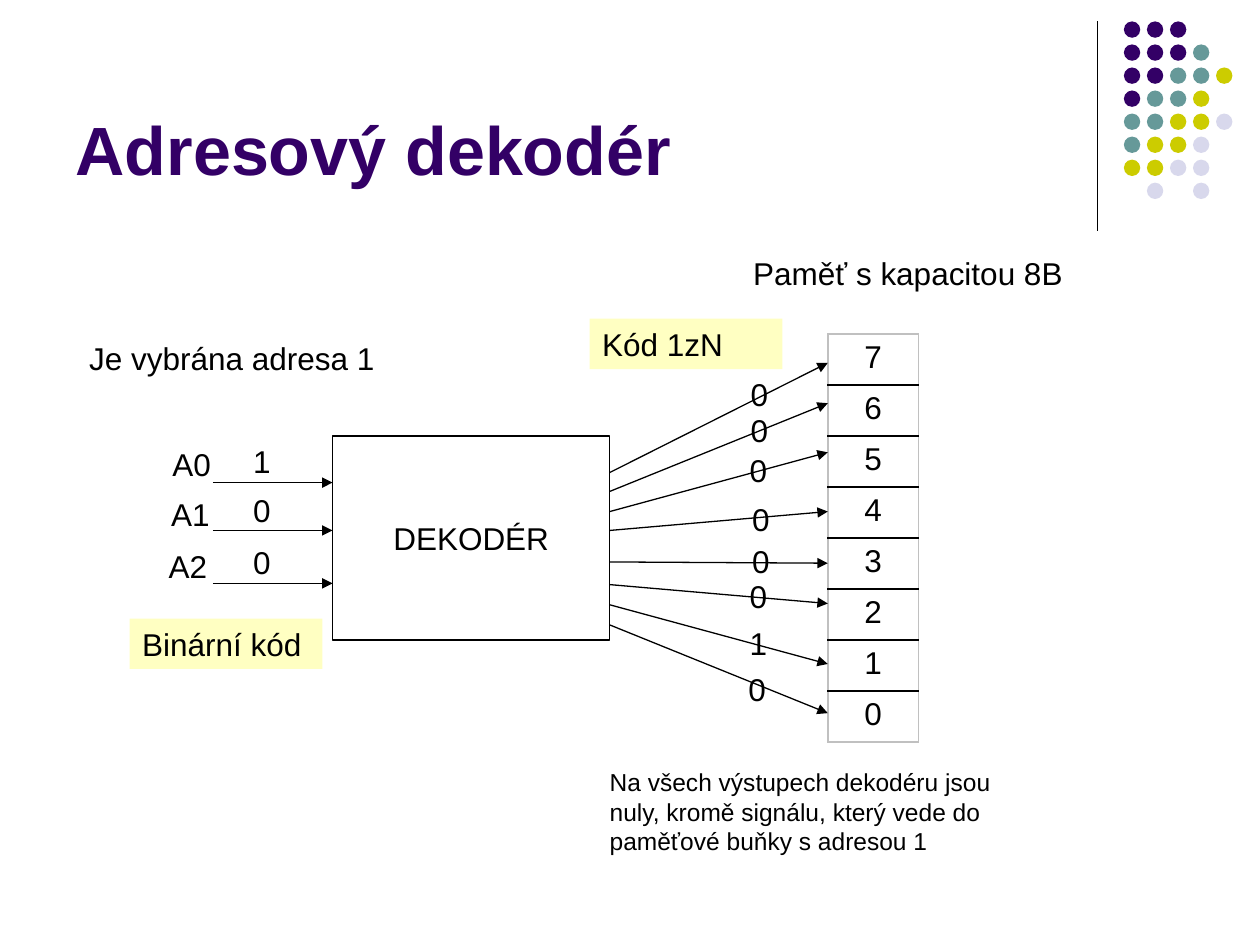
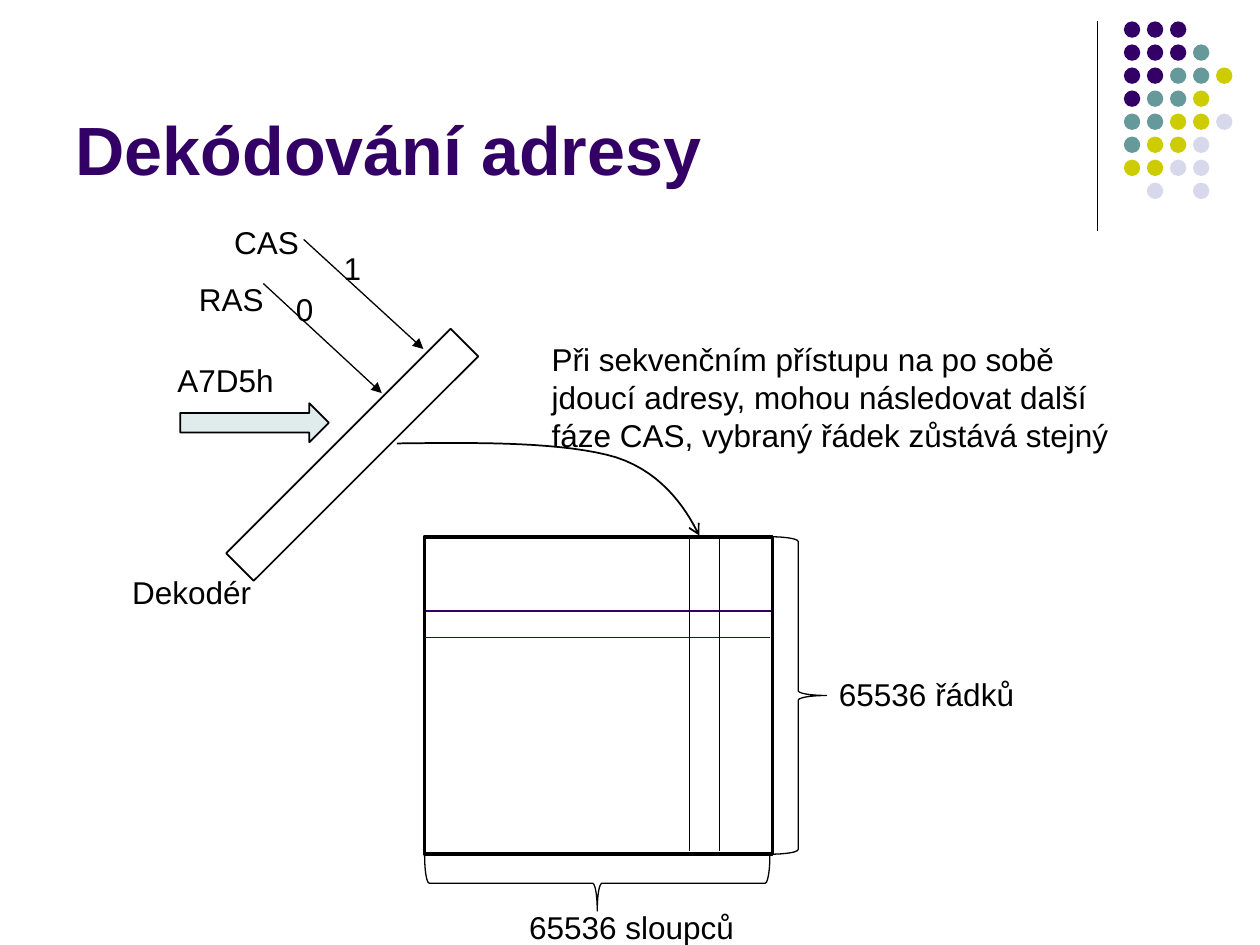
from dataclasses import dataclass

import pptx
import pptx.dml.color
import pptx.enum.shapes
import pptx.enum.text
import pptx.oxml.ns
import pptx.presentation
import pptx.shapes.autoshape
import pptx.shapes.base
import pptx.slide
import pptx.table
import pptx.text.text
import pptx.util
from lxml import etree

Inches = pptx.util.Inches
Pt = pptx.util.Pt
Preset = pptx.enum.shapes.MSO_SHAPE
Anchor = pptx.enum.text.MSO_ANCHOR
Align = pptx.enum.text.PP_ALIGN

FONT = "Arial"
COLORS = {
    "text": "000000",
    "purple": "330066",
    "teal": "669999",
    "olive": "CCCC00",
    "lavender": "D8D8EC",
    "yellow": "FFFFC2",
    "pale_teal": "E0EBEB",
    "white": "FFFFFF",
    "table_edge": "C0C0C0",
}
DOT_COLORS = {"P": "purple", "T": "teal", "O": "olive", "L": "lavender"}
DOT_ROWS = ("PPP", "PPPT", "PPTTO", "PTTO", "TTOOL", "TOOL", "OOLL", ".L.L")
DOT_LEFT, DOT_TOP, DOT_SIZE = 8.92, 0.17, 0.13
DOT_PITCH = 1.28 / 7


@dataclass(frozen=True)
class Label:
    text: str
    left: float
    top: float
    width: float = 0.55
    height: float = 0.4
    size: int = 18


@dataclass(frozen=True)
class Line:
    start: tuple[float, float]
    end: tuple[float, float]
    color: str = "text"
    arrow: bool = False


@dataclass(frozen=True)
class Block:
    preset: Preset
    left: float
    top: float
    width: float
    height: float
    fill: str | None = None
    line_width: float = 0
    rotation: float = 0
    text: str = ""
    align: Align = Align.LEFT
    anchor: Anchor = Anchor.TOP


def rgb(name: str) -> pptx.dml.color.RGBColor:
    return pptx.dml.color.RGBColor.from_string(COLORS[name])


def format_paragraph(paragraph: pptx.text.text._Paragraph, size: int,
                     align: Align = Align.LEFT, color: str = "text", bold: bool = False) -> None:
    paragraph.alignment = align
    paragraph.font.name = FONT
    paragraph.font.size = Pt(size)
    paragraph.font.bold = bold
    paragraph.font.color.rgb = rgb(color)


def add_arrowhead(shape: pptx.shapes.base.BaseShape, kind: str) -> None:
    line = shape.line._get_or_add_ln()
    etree.SubElement(line, pptx.oxml.ns.qn("a:tailEnd"), type=kind)


def add_label(slide: pptx.slide.Slide, label: Label) -> None:
    shape = slide.shapes.add_textbox(Inches(label.left), Inches(label.top),
                                     Inches(label.width), Inches(label.height))
    shape.text_frame.word_wrap = True
    shape.text_frame.text = label.text
    format_paragraph(shape.text_frame.paragraphs[0], label.size)


def add_line(slide: pptx.slide.Slide, line: Line) -> None:
    connector = slide.shapes.add_connector(
        pptx.enum.shapes.MSO_CONNECTOR.STRAIGHT,
        *(Inches(value) for value in line.start + line.end))
    connector.line.color.rgb = rgb(line.color)
    connector.line.width = Pt(0.75)
    if line.arrow:
        add_arrowhead(connector, "triangle")
    etree.SubElement(connector._element.spPr, pptx.oxml.ns.qn("a:effectLst"))


def add_block(shapes, block: Block) -> pptx.shapes.autoshape.Shape:
    shape = shapes.add_shape(block.preset, Inches(block.left), Inches(block.top),
                             Inches(block.width), Inches(block.height))
    shape.shadow.inherit = False
    shape.rotation = block.rotation
    if block.fill:
        shape.fill.solid()
        shape.fill.fore_color.rgb = rgb(block.fill)
    else:
        shape.fill.background()
    if block.line_width:
        shape.line.color.rgb = rgb("text")
        shape.line.width = Pt(block.line_width)
    else:
        shape.line.fill.background()
    if block.text:
        shape.text_frame.text = block.text
        shape.text_frame.vertical_anchor = block.anchor
        format_paragraph(shape.text_frame.paragraphs[0], 18, block.align)
    return shape


def add_decoration(slide: pptx.slide.Slide) -> None:
    add_line(slide, Line((8.71, 0.17), (8.71, 1.83)))
    dots = slide.shapes.add_group_shape()
    for row, pattern in enumerate(DOT_ROWS):
        for column, code in enumerate(pattern):
            if code in DOT_COLORS:
                add_block(dots.shapes, Block(
                    Preset.OVAL, DOT_LEFT + column * DOT_PITCH, DOT_TOP + row * DOT_PITCH,
                    DOT_SIZE, DOT_SIZE, DOT_COLORS[code]))


def add_titled_slide(presentation: pptx.presentation.Presentation, text: str) -> pptx.slide.Slide:
    slide = presentation.slides.add_slide(presentation.slide_layouts[5])
    add_decoration(slide)
    title = slide.shapes.title
    title.left, title.top = Inches(0.5), Inches(0.13)
    title.width, title.height = Inches(8.25), Inches(1.42)
    frame = title.text_frame
    frame.text = text
    frame.auto_size = pptx.enum.text.MSO_AUTO_SIZE.NONE
    frame.vertical_anchor = Anchor.BOTTOM
    format_paragraph(frame.paragraphs[0], 39, color="purple", bold=True)
    return slide


def set_borders(cell: pptx.table._Cell, borders: dict[str, str]) -> None:
    properties = cell._tc.get_or_add_tcPr()
    for index, (side, color) in enumerate(borders.items()):
        line = etree.Element(pptx.oxml.ns.qn(f"a:ln{side}"), w=str(Pt(1)))
        fill = etree.SubElement(line, pptx.oxml.ns.qn("a:solidFill"))
        etree.SubElement(fill, pptx.oxml.ns.qn("a:srgbClr"), val=COLORS[color])
        properties.insert(index, line)


def add_memory_table(slide: pptx.slide.Slide, addresses: list[int]) -> None:
    count = len(addresses)
    table = slide.shapes.add_table(count, 1, Inches(6.57), Inches(2.65),
                                   Inches(0.72), Inches(3.24)).table
    table.first_row = table.horz_banding = False
    for row, address in enumerate(addresses):
        cell = table.cell(row, 0)
        cell.text = str(address)
        cell.fill.background()
        format_paragraph(cell.text_frame.paragraphs[0], 18, Align.CENTER)
        set_borders(cell, {
            "L": "table_edge",
            "R": "table_edge",
            "T": "table_edge" if row == 0 else "text",
            "B": "table_edge" if row == count - 1 else "text",
        })


def add_curved_arrow(slide: pptx.slide.Slide, start: tuple[float, float],
                     curves: list[tuple[tuple[float, float], ...]], steps: int = 16) -> None:
    points = []
    origin = start
    for first, second, end in curves:
        for step in range(1, steps + 1):
            t = step / steps
            points.append(tuple(
                Inches((1 - t) ** 3 * a + 3 * (1 - t) ** 2 * t * b + 3 * (1 - t) * t ** 2 * c + t ** 3 * d)
                for a, b, c, d in zip(origin, first, second, end)))
        origin = end
    builder = slide.shapes.build_freeform(Inches(start[0]), Inches(start[1]))
    builder.add_line_segments(points, close=False)
    shape = builder.convert_to_shape()
    shape.shadow.inherit = False
    shape.fill.background()
    shape.line.color.rgb = rgb("text")
    shape.line.width = Pt(1)
    add_arrowhead(shape, "arrow")


def build_decoder_slide(presentation: pptx.presentation.Presentation) -> None:
    slide = add_titled_slide(presentation, "Adresový dekodér")
    add_memory_table(slide, list(range(7, -1, -1)))
    add_block(slide.shapes, Block(Preset.RECTANGLE, 2.64, 3.46, 2.2, 1.62, line_width=0.75,
                                  text="DEKODÉR", align=Align.CENTER, anchor=Anchor.MIDDLE))

    output_heights = [(3.75, 2.88), (3.9, 3.2), (4.06, 3.59), (4.21, 4.06),
                      (4.46, 4.47), (4.64, 4.79), (4.8, 5.27), (4.96, 5.66)]
    for start, end in output_heights:
        add_line(slide, Line((4.84, start), (6.57, end), arrow=True))
    for height in (3.83, 4.21, 4.63):
        add_line(slide, Line((1.69, height), (2.64, height), arrow=True))

    labels = [
        Label("Paměť s kapacitou 8B", 5.88, 1.97, 2.84),
        Label("A0", 1.27, 3.48),
        Label("A1", 1.26, 3.88),
        Label("A2", 1.24, 4.29),
        Label("Je vybrána adresa 1", 0.61, 2.64, 2.6),
        Label("Na všech výstupech dekodéru jsou nuly, kromě signálu, který vede do "
              "paměťové buňky s adresou 1", 4.74, 6.04, 3.51, 0.81, 14),
    ]
    input_bits = zip("100", (3.46, 3.85, 4.26))
    labels += [Label(bit, 1.91, top) for bit, top in input_bits]
    output_bits = zip("00000010", (5.86, 5.86, 5.85, 5.87, 5.87, 5.85, 5.85, 5.84),
                      (2.93, 3.21, 3.53, 3.92, 4.25, 4.53, 4.9, 5.27))
    labels += [Label(bit, left, top) for bit, left, top in output_bits]
    for label in labels:
        add_label(slide, label)

    for text, left, top in (("Binární kód", 1.03, 4.91), ("Kód 1zN", 4.68, 2.53)):
        add_block(slide.shapes, Block(Preset.RECTANGLE, left, top, 1.53, 0.4, "yellow", text=text))


def build_addressing_slide(presentation: pptx.presentation.Presentation) -> None:
    slide = add_titled_slide(presentation, "Dekódování adresy")
    for block in (
        Block(Preset.RECTANGLE, 3.37, 4.26, 2.76, 2.52, line_width=2),
        Block(Preset.RIGHT_BRACE, 6.11, 4.26, 0.45, 2.52, line_width=0.75),
        Block(Preset.RIGHT_BRACE, 4.52, 5.64, 0.44, 2.74, line_width=0.75, rotation=90),
        Block(Preset.RECTANGLE, 2.64, 2.35, 0.31, 2.52, "white", 1, 45),
        Block(Preset.RIGHT_ARROW, 1.43, 3.2, 1.18, 0.31, "pale_teal", 1),
    ):
        add_block(slide.shapes, block)
    for line in (
        Line((3.37, 5.06), (6.11, 5.06), "purple"),
        Line((3.38, 4.85), (6.12, 4.85), "purple"),
        Line((2.09, 2.25), (3.03, 3.12), arrow=True),
        Line((2.41, 1.9), (3.36, 2.77), arrow=True),
        Line((5.47, 4.25), (5.47, 6.75)),
        Line((5.71, 4.25), (5.71, 6.75)),
    ):
        add_line(slide, line)
    for label in (
        Label("65536 řádků", 6.56, 5.31, 2.05),
        Label("A7D5h", 1.31, 2.82, 1.18),
        Label("Dekodér", 0.95, 4.5, 1.42),
        Label("RAS", 1.48, 2.17, 0.98),
        Label("CAS", 1.76, 1.72, 0.98),
        Label("0", 2.25, 2.25, 0.36),
        Label("1", 2.63, 1.93, 0.36),
        Label("Při sekvenčním přístupu na po sobě jdoucí adresy, mohou následovat další "
              "fáze CAS, vybraný řádek zůstává stejný", 4.28, 2.65, 4.88, 1.01),
        Label("65536 sloupců", 4.1, 7.16, 2.05),
    ):
        add_label(slide, label)
    add_curved_arrow(slide, (3.15, 3.52), [
        ((3.82, 3.51), (4.49, 3.51), (4.89, 3.63)),
        ((5.29, 3.76), (5.47, 4.09), (5.55, 4.25)),
    ])


def main() -> None:
    presentation = pptx.Presentation()
    presentation.slide_width, presentation.slide_height = Inches(10), Inches(7.5)
    build_decoder_slide(presentation)
    build_addressing_slide(presentation)
    presentation.save("out.pptx")


if __name__ == "__main__":
    main()
